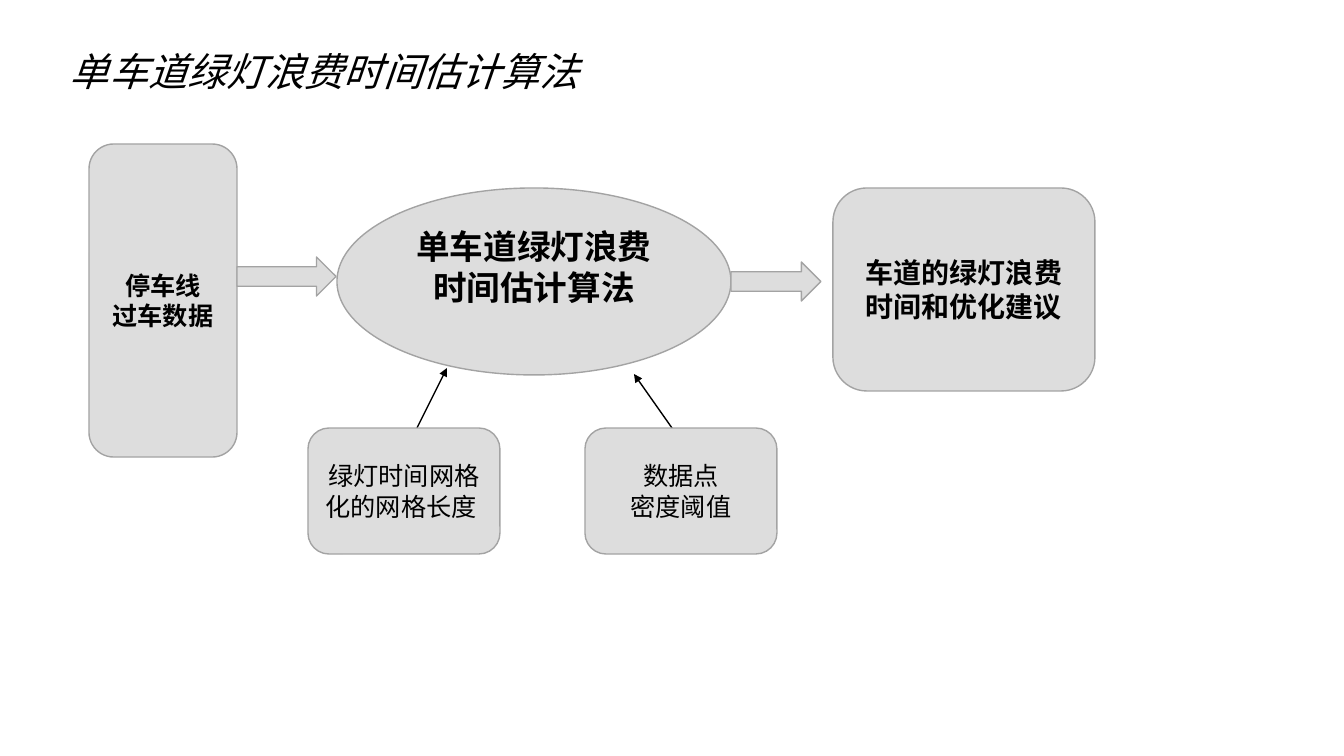
"""Builds a flow slide for the single-lane green-light waste estimation algorithm."""
from lxml import etree
from pptx import Presentation
from pptx.dml.color import RGBColor
from pptx.enum.shapes import MSO_CONNECTOR, MSO_SHAPE
from pptx.enum.text import MSO_ANCHOR, MSO_AUTO_SIZE, PP_ALIGN
from pptx.oxml.ns import qn
from pptx.util import Emu, Pt

ROUND, OVAL, ARROW = MSO_SHAPE.ROUNDED_RECTANGLE, MSO_SHAPE.OVAL, MSO_SHAPE.RIGHT_ARROW
STRAIGHT = MSO_CONNECTOR.STRAIGHT
CENTER, LEFT, MIDDLE = PP_ALIGN.CENTER, PP_ALIGN.LEFT, MSO_ANCHOR.MIDDLE
FIT_SHAPE = MSO_AUTO_SIZE.SHAPE_TO_FIT_TEXT

PX = 914400 / 100.8
FONT = "Noto Sans CJK SC"
COLORS = {"fill": "DDDDDD", "edge": "A3A3A3", "ink": "000000"}

TITLE = "单车道绿灯浪费时间估计算法"
TITLE_AREA = (60, 42, 740, 57)
PARAMETER_TOP, PARAMETER_SIZE = 428, (192, 126)
ALGORITHM_BOTTOM_INSET = 35

STAGES = [
    (OVAL, (337, 188, 394, 187), [TITLE], {"size": Pt(24), "bold": True}),
    (ROUND, (89, 144, 148, 313), ["停车线", "过车数据"], {"size": Pt(18), "bold": True}),
    (ROUND, (833, 188, 262, 203), ["车道的绿灯浪费时间和优化建议"], {"size": Pt(20), "bold": True}),
]
FLOW_ARROWS = [(237, 257, 99, 39), (731, 262, 90, 39)]
PARAMETERS = [
    (308, ["绿灯时间网格化的网格长度 "], 417, (447, 368)),
    (585, ["数据点", "密度阈值"], 672, (634, 374)),
]


def px(*lengths):
    return [Emu(round(length * PX)) for length in lengths]


def color(name):
    return RGBColor.from_string(COLORS[name])


def write(frame, lines, align, style):
    frame.word_wrap = True
    for index, line in enumerate(lines):
        para = frame.paragraphs[0] if index == 0 else frame.add_paragraph()
        para.alignment = align
        span = para.add_run()
        span.text = line
        for name, value in {"name": FONT, **style}.items():
            setattr(span.font, name, value)
        span.font.color.rgb = color("ink")
        etree.SubElement(span.font._element, qn("a:ea"), typeface=FONT)


def add_block(page, kind, area, lines=(), style=None):
    block = page.shapes.add_shape(kind, *px(*area))
    block.shadow.inherit = False
    block.fill.solid()
    block.fill.fore_color.rgb = color("fill")
    block.line.color.rgb = color("edge")
    block.line.width = Pt(1)
    block.text_frame.vertical_anchor = MIDDLE
    write(block.text_frame, lines, CENTER, style or {})
    return block


def add_pointer(page, start, end):
    pointer = page.shapes.add_connector(STRAIGHT, *px(*start, *end))
    pointer.line.color.rgb = color("ink")
    pointer.line.width = Pt(1)
    etree.SubElement(pointer.line._get_or_add_ln(), qn("a:tailEnd"), type="triangle")
    etree.SubElement(pointer._element.spPr, qn("a:effectLst"))


def main():
    deck = Presentation()
    deck.slide_width, deck.slide_height = px(1344, 756)
    page = deck.slides.add_slide(deck.slide_layouts[6])

    title = page.shapes.add_textbox(*px(*TITLE_AREA))
    write(title.text_frame, [TITLE], LEFT, {"size": Pt(28), "italic": True})
    title.text_frame.auto_size = FIT_SHAPE

    algorithm, *_ = [add_block(page, *stage) for stage in STAGES]
    algorithm.text_frame.margin_bottom = px(ALGORITHM_BOTTOM_INSET)[0]
    for area in FLOW_ARROWS:
        add_block(page, ARROW, area)

    for left, lines, start_x, tip in PARAMETERS:
        add_pointer(page, (start_x, PARAMETER_TOP), tip)
        add_block(page, ROUND, (left, PARAMETER_TOP, *PARAMETER_SIZE), lines, {"size": Pt(18)})

    deck.save("out.pptx")


if __name__ == "__main__":
    main()
